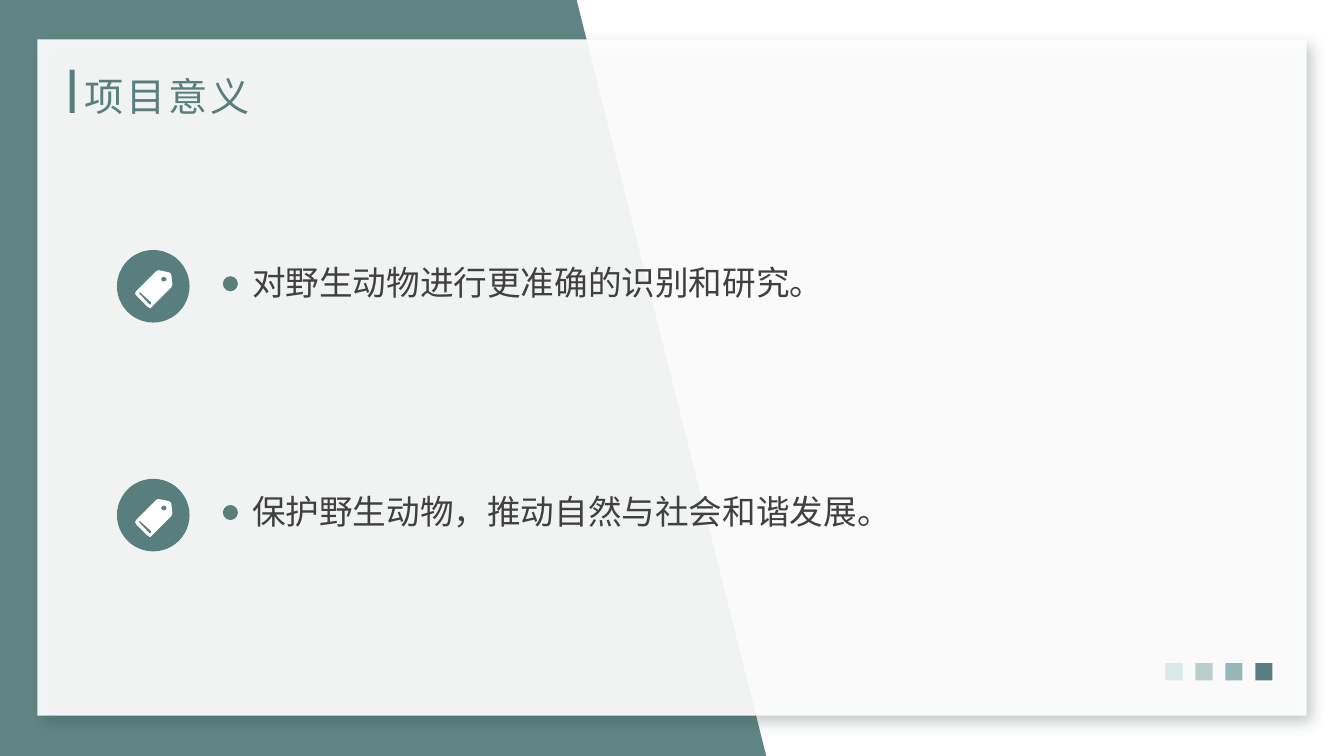
from math import cos, pi, sin

from lxml.etree import SubElement
from pptx import Presentation
from pptx.dml.color import RGBColor
from pptx.enum.shapes import MSO_SHAPE as Shape
from pptx.enum.text import MSO_ANCHOR as Anchor, MSO_AUTO_SIZE as Fit, PP_ALIGN as Align
from pptx.oxml.ns import qn
from pptx.util import Inches, Pt

WIDE, HIGH = 13.33, 7.5
TEAL, WHITE, INK = "587F7E", "FFFFFF", "404040"
SQUARES = ["DCE7E7", "B9CFCE", "96B7B6", TEAL]
POINTS = ["对野生动物进行更准确的识别和研究。", "保护野生动物，推动自然与社会和谐发展。"]

# Tag icon, in hundredths of an inch from the corner of its disc
BODY = [(55, 34), (54, 25), (53, 23), (51, 22), (41, 20), (39, 21), (19, 41),
        (18, 43), (19, 45), (30, 56), (33, 57.5), (35, 56), (54, 37)]
SLIT = [(34, 54), (32, 54), (22, 43), (22, 42), (23, 42), (34, 52)]
HOLE = [(46.5 + 2.5 * cos(i * pi / 8), 29 + 2.5 * sin(i * pi / 8)) for i in range(16)]


def color(code):
    return RGBColor.from_string(code)


def paint(shape, code, alpha=None):
    shape.shadow.inherit = False
    shape.fill.solid()
    shape.fill.fore_color.rgb = color(code)
    shape.line.fill.background()
    if alpha:
        tint = shape._element.spPr.find(qn("a:solidFill"))[0]
        SubElement(tint, qn("a:alpha"), val=str(alpha * 1000))
    return shape


def block(slide, kind, x, y, w, h, code, alpha=None):
    shape = slide.shapes.add_shape(kind, Inches(x), Inches(y), Inches(w), Inches(h))
    return paint(shape, code, alpha)


def outline(slide, x, y, loops, code, alpha=None):
    """Fill closed loops, given in hundredths of an inch from (x, y)."""
    build = None
    for first, *rest in loops:
        if build is None:
            build = slide.shapes.build_freeform(*first, scale=Inches(0.01))
        else:
            build.move_to(*first)
        build.add_line_segments(rest, close=True)
    return paint(build.convert_to_shape(Inches(x), Inches(y)), code, alpha)


def cast(shape):
    """Give a soft shadow down to the right."""
    effects = shape._element.spPr.find(qn("a:effectLst"))
    shade = SubElement(effects, qn("a:outerShdw"), blurRad=str(Pt(10)), dist=str(Pt(6)),
                       dir="2700000", algn="tl", rotWithShape="0")
    tint = SubElement(shade, qn("a:srgbClr"), val="2C403F")
    SubElement(tint, qn("a:alpha"), val="30000")


def backdrop(slide, w, h):
    # Slanted band, card and corner squares
    band = [(0, 0), (572, 0), (760, h * 100), (0, h * 100)]
    outline(slide, 0, 0, [band], TEAL, 95)
    cast(block(slide, Shape.RECTANGLE, 0.37, 0.39, w - 0.74, h - 0.79, WHITE, 92))
    for i, code in enumerate(SQUARES):
        block(slide, Shape.RECTANGLE, w - 1.77 + i * 0.297, h - 0.92, 0.17, 0.17, code)


def heading(slide, x, y, text):
    # Accent bar, then the title above the card
    block(slide, Shape.RECTANGLE, x, y, 0.05, 0.43, TEAL)
    title = slide.shapes.title
    slide.shapes._spTree.append(title._element)
    title.left, title.top = Inches(x + 0.05), Inches(y + 0.02)
    title.width, title.height = Inches(5.26), Inches(0.48)
    frame = title.text_frame
    frame.text = text
    frame.auto_size, frame.vertical_anchor = Fit.NONE, Anchor.MIDDLE
    line = frame.paragraphs[0]
    line.alignment = Align.LEFT
    line.font.name, line.font.size = "Cabin", Pt(28)
    line.font.color.rgb = color(TEAL)
    line.runs[0].font._element.set("spc", "200")


def point(slide, x, y, w, text):
    # Disc with tag, dot, then text
    block(slide, Shape.OVAL, x, y, 0.72, 0.72, TEAL)
    outline(slide, x, y, [BODY, SLIT, HOLE], WHITE)
    block(slide, Shape.OVAL, x + 1.05, y + 0.26, 0.15, 0.15, TEAL)
    box = slide.shapes.add_textbox(Inches(x + 1.34), Inches(y), Inches(w - 1.34), Inches(0.52))
    frame = box.text_frame
    frame.word_wrap, frame.auto_size = True, Fit.SHAPE_TO_FIT_TEXT
    frame.margin_left = frame.margin_right = frame.margin_top = frame.margin_bottom = 0
    frame.text = text
    line = frame.paragraphs[0]
    line.line_spacing = 1.3
    line.font.name, line.font.size = "Lato", Pt(24)
    line.font.color.rgb = color(INK)


def main():
    deck = Presentation()
    deck.slide_width, deck.slide_height = Inches(WIDE), Inches(HIGH)
    slide = deck.slides.add_slide(deck.slide_layouts[5])
    backdrop(slide, WIDE, HIGH)
    heading(slide, 0.69, 0.69, "项目意义")
    for i, text in enumerate(POINTS):
        point(slide, 1.16, 2.48 + i * 2.27, 11.17, text)
    deck.save("out.pptx")


if __name__ == "__main__":
    main()
